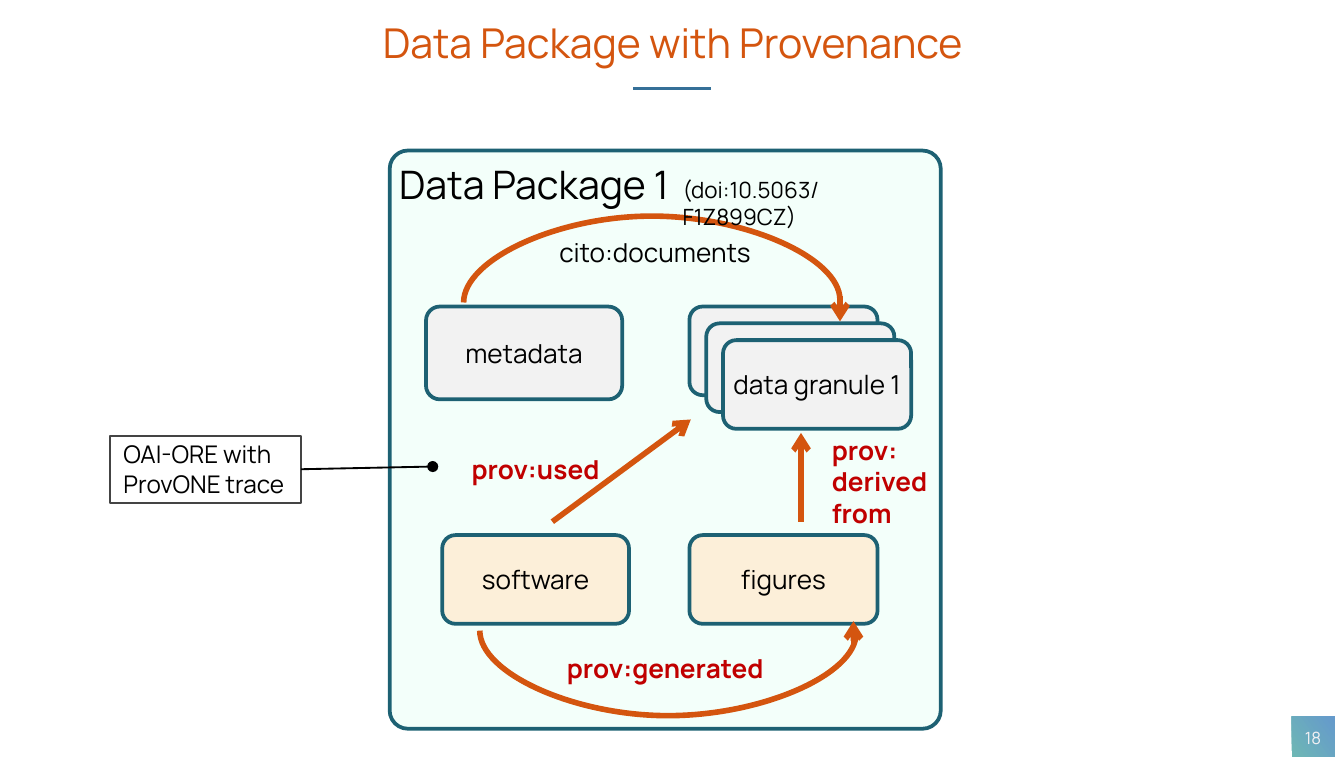
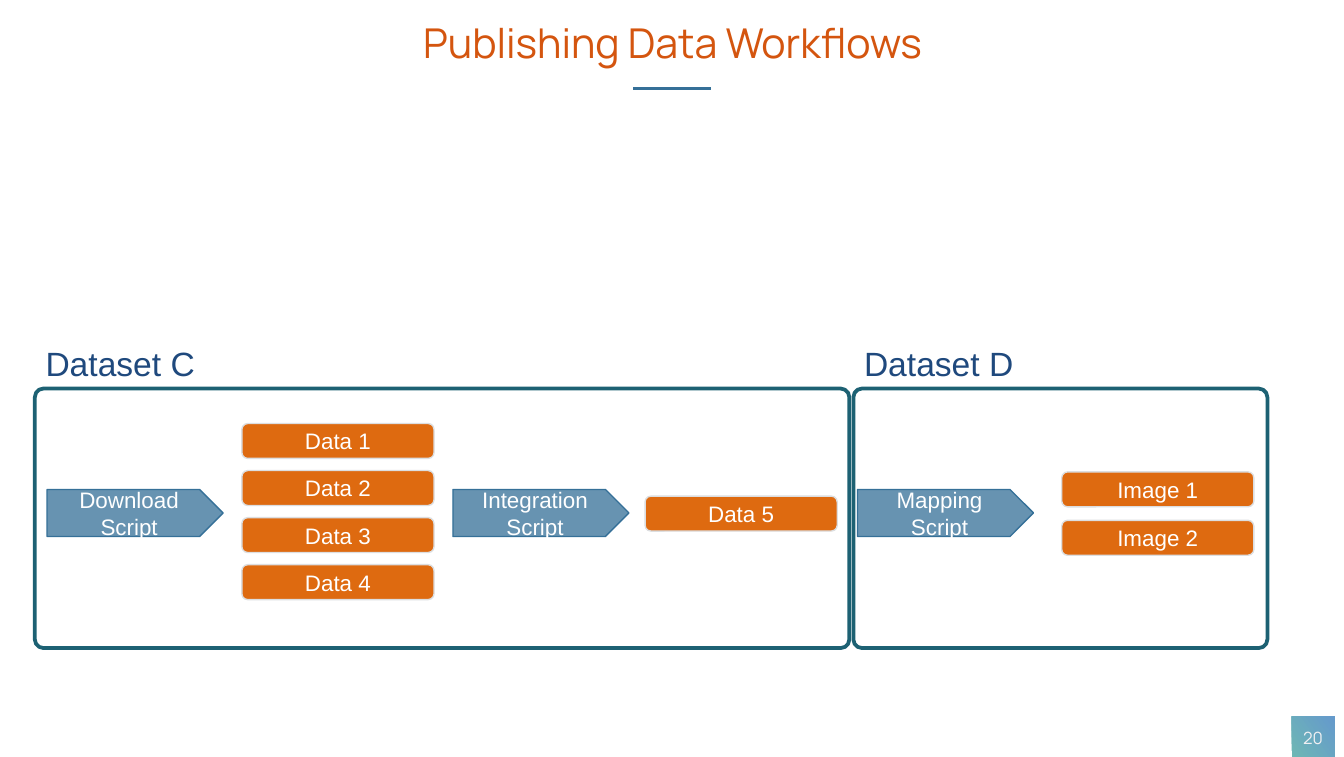
from typing import NamedTuple

from lxml.etree import SubElement
from pptx import Presentation
from pptx.dml.color import RGBColor
from pptx.enum.shapes import MSO_CONNECTOR as Link, MSO_SHAPE as Preset
from pptx.enum.text import MSO_ANCHOR as Anchor, MSO_AUTO_SIZE as AutoSize, PP_ALIGN as Align
from pptx.oxml.ns import qn
from pptx.util import Inches, Pt

COLORS = {
    "title": "D4550F", "rule": "357098", "tile_from": "6EB7B4", "tile_to": "659ACC",
    "number": "F2F1F3", "outline": "1D6173", "package": "F3FFFA", "data": "F2F2F2",
    "product": "FCEFD9", "relation": "D4550F", "prov": "C00000", "ink": "000000",
    "note": "444444", "file": "DE6A10", "file_edge": "DCDEE0", "white": "FFFFFF",
    "dataset": "1F497D",
}

# Text styles: colour name and font values
STYLES = {
    "title": ("title", {"name": "Manrope", "size": Pt(22), "bold": False}),
    "number": ("number", {"name": "Manrope", "size": Pt(9)}),
    "package": ("ink", {"name": "Manrope", "size": Pt(21)}),
    "body": ("ink", {"name": "Manrope", "size": Pt(14)}),
    "doi": ("ink", {"name": "Manrope", "size": Pt(12)}),
    "note": ("ink", {"name": "Manrope", "size": Pt(13)}),
    "prov": ("prov", {"name": "Manrope", "size": Pt(14), "bold": True}),
    "step": ("white", {"name": "Arial", "size": Pt(12)}),
    "dataset": ("dataset", {"name": "Arial", "size": Pt(18)}),
}


class Box(NamedTuple):
    left: float
    top: float
    width: float
    height: float

    def inner(self, dx, dy, width, height):
        return Box(self.left + dx, self.top + dy, width, height)

    def point(self, dx, dy):
        return self.left + dx, self.top + dy

    def lengths(self):
        return [Inches(value) for value in self]


def rgb(name):
    return RGBColor.from_string(COLORS[name])


def write(shape, text, style, align=Align.CENTER, anchor=Anchor.MIDDLE,
          insets=(0.03, 0.03, 0.03, 0.03), wrap=True):
    frame = shape.text_frame
    frame.text = text
    left, top, right, bottom = (Inches(inset) for inset in insets)
    layout = {"auto_size": AutoSize.NONE, "word_wrap": wrap, "vertical_anchor": anchor,
              "margin_left": left, "margin_top": top,
              "margin_right": right, "margin_bottom": bottom}
    for name, value in layout.items():
        setattr(frame, name, value)
    color, values = STYLES[style]
    for paragraph in frame.paragraphs:
        paragraph.alignment = align
        paragraph.font.color.rgb = rgb(color)
        for name, value in values.items():
            setattr(paragraph.font, name, value)


def add_label(slide, box, text, style, align=Align.CENTER, wrap=False,
              insets=(0.1, 0.05, 0.1, 0.05), anchor=Anchor.TOP):
    label = slide.shapes.add_textbox(*box.lengths())
    write(label, text, style, align, anchor, insets, wrap)


def add_block(slide, preset, box, fill, edge, weight, corner=None):
    block = slide.shapes.add_shape(preset, *box.lengths())
    block.shadow.inherit = False
    if fill:
        block.fill.solid()
        block.fill.fore_color.rgb = rgb(fill)
    else:
        block.fill.background()
    block.line.color.rgb = rgb(edge)
    block.line.width = Pt(weight)
    if corner is not None:
        block.adjustments[0] = corner
    return block


def add_link(slide, start, end, color, weight, kind=Link.STRAIGHT, **heads):
    link = slide.shapes.add_connector(kind, *(Inches(value) for value in start + end))
    link.line.color.rgb = rgb(color)
    link.line.width = Pt(weight)
    outline = link.line._get_or_add_ln()
    for end_tag, head in heads.items():
        SubElement(outline, qn(f"a:{end_tag}")).set("type", head)
    SubElement(link._element.spPr, qn("a:effectLst"))
    return link


def add_arc(slide, center, span, rise, upward):
    """Half loop, made of a thin curved connector that is turned upright."""
    x, y = center
    thin = 0.02
    reach = span / 2 if upward else -span / 2
    arc = add_link(slide, (x + thin / 2, y + reach), (x - thin / 2, y - reach),
                   "relation", 3, Link.CURVE)
    properties = arc._element.spPr
    properties.find(qn("a:xfrm")).set("rot", str((90 if upward else 270) * 60000))
    guides = properties.find(qn("a:prstGeom")).get_or_add_avLst()
    guide = SubElement(guides, qn("a:gd"))
    guide.set("name", "adj1")
    guide.set("fmla", f"val {round(rise / thin * 100000)}")


def add_page(deck, title, number):
    """Title, rule and number tile shared by all slides."""
    slide = deck.slides.add_slide(deck.slide_layouts[5])
    heading = slide.shapes.title
    heading.left, heading.top, heading.width, heading.height = Box(1.33, 0.11, 7.35, 0.45).lengths()
    write(heading, title, "title", anchor=Anchor.TOP, insets=(0.04, 0.02, 0.04, 0.02))
    add_link(slide, (4.71, 0.66), (5.29, 0.66), "rule", 1.5)

    tile_box = Box(9.61, 5.33, 0.32, 0.3)
    tile = slide.shapes.add_shape(Preset.RECTANGLE, *tile_box.lengths())
    tile.shadow.inherit = False
    tile.line.fill.background()
    tile.fill.gradient()
    tile.fill.gradient_angle = 36
    for stop, color in zip(tile.fill.gradient_stops, ("tile_from", "tile_to")):
        stop.color.rgb = rgb(color)
    add_label(slide, tile_box.inner(0.02, 0.03, 0.28, 0.25), number, "number",
              wrap=True, insets=(0, 0.02, 0, 0.02), anchor=Anchor.MIDDLE)
    return slide


def add_package(slide, box):
    """Data package with its members and the relations between them."""
    package = add_block(slide, Preset.ROUNDED_RECTANGLE, box, "package", "outline", 2, 0.033)
    write(package, "Data Package 1", "package", Align.LEFT, Anchor.TOP)

    # Members, with the granules as a stack of three
    step = 0.25 / 2
    members = [
        ("metadata", "data", 0.27, 1.16, 1.46, 0.69),
        ("figures", "product", 2.23, 2.86, 1.4, 0.66),
        ("software", "product", 0.39, 2.86, 1.39, 0.66),
    ] + [(text, "data", 2.23 + i * step, 1.16 + i * step, 1.4, 0.66)
         for i, text in enumerate(("", "", "data granule 1"))]
    for text, fill, *place in members:
        member = add_block(slide, Preset.ROUNDED_RECTANGLE, box.inner(*place),
                           fill, "outline", 2, 0.15)
        if text:
            write(member, text, "body")

    # Relation arrows
    add_arc(slide, box.point(1.95, 1.12), 2.8, 0.64, True)
    add_arc(slide, box.point(2.07, 3.58), 2.8, 0.63, False)
    for start, end in [((1.21, 2.76), (2.24, 2.0)), ((3.06, 2.76), (3.06, 2.1)),
                       ((3.35, 1.08), (3.35, 1.27)), ((3.45, 3.68), (3.45, 3.5))]:
        add_link(slide, box.point(*start), box.point(*end), "relation", 3, tailEnd="arrow")

    # Relation names
    for text, style, *place in [
        ("cito:documents", "body", 1.15, 0.59, 1.65, 0.35),
        ("prov:used", "prov", 0.5, 2.2, 1.17, 0.35),
        ("prov:generated", "prov", 1.2, 3.68, 1.7, 0.35),
    ]:
        add_label(slide, box.inner(*place), text, style)
    add_label(slide, box.inner(3.18, 2.06, 0.93, 0.83), "prov:\nderived from", "prov",
              Align.LEFT, True, (0.11, 0.05, 0.02, 0.05))
    add_label(slide, box.inner(2.08, 0.14, 1.95, 0.3), "(doi:10.5063/F1Z899CZ)", "doi",
              Align.LEFT, True)


def add_trace_note(slide, box):
    """Side note that points into the package."""
    note = add_block(slide, Preset.RECTANGLE, box, None, "note", 1)
    write(note, "OAI-ORE with\vProvONE trace", "note", Align.LEFT, Anchor.TOP,
          (0.1, 0.03, 0.03, 0.03))
    pointer = add_link(slide, box.point(2.4, 0.23), box.point(box.width, box.height / 2),
                       "ink", 1, headEnd="oval")
    pointer.end_connect(note, 3)


def add_script(slide, box, text):
    script = add_block(slide, Preset.PENTAGON, box, "rule", "rule", 0.75)
    tint = script._element.spPr.find(qn("a:solidFill"))[0]
    SubElement(tint, qn("a:alpha")).set("val", "75000")
    write(script, f"{text}\nScript", "step", insets=(0.1, 0.05, 0.1, 0.05))


def add_dataset(slide, box, name, scripts, file_columns):
    """Named frame with script arrows and columns of files."""
    add_block(slide, Preset.ROUNDED_RECTANGLE, box, None, "outline", 2, 0.033)
    add_label(slide, box.inner(0, -0.38, 1.27, 0.38), name, "dataset",
              insets=(0.08, 0.04, 0.08, 0.04))
    for text, dx in scripts:
        add_script(slide, box.inner(dx, 0.75, 1.31, 0.35), text)
    for dx, dy, pitch, files in file_columns:
        for row, text in enumerate(files):
            file = add_block(slide, Preset.ROUNDED_RECTANGLE,
                             box.inner(dx, dy + row * pitch, 1.43, 0.26),
                             "file", "file_edge", 0.75)
            write(file, text, "step")


def main():
    deck = Presentation()
    deck.slide_width, deck.slide_height = Inches(10), Inches(5.63)

    provenance = add_page(deck, "Data Package with Provenance", "18")
    add_package(provenance, Box(2.9, 1.12, 4.1, 4.3))
    add_trace_note(provenance, Box(0.82, 3.24, 1.42, 0.5))

    workflows = add_page(deck, "Publishing Data Workflows", "20")
    add_dataset(workflows, Box(6.35, 2.89, 3.08, 1.93), "Dataset D", [("Mapping", 0.03)],
                [(1.55, 0.62, 0.36, ["Image 1", "Image 2"])])
    add_dataset(workflows, Box(0.26, 2.89, 6.06, 1.93), "Dataset C",
                [("Download", 0.09), ("Integration", 3.11)],
                [(1.54, 0.26, 0.35, [f"Data {n}" for n in range(1, 5)]),
                 (4.54, 0.8, 0.35, ["Data 5"])])

    deck.save("out.pptx")


if __name__ == "__main__":
    main()
